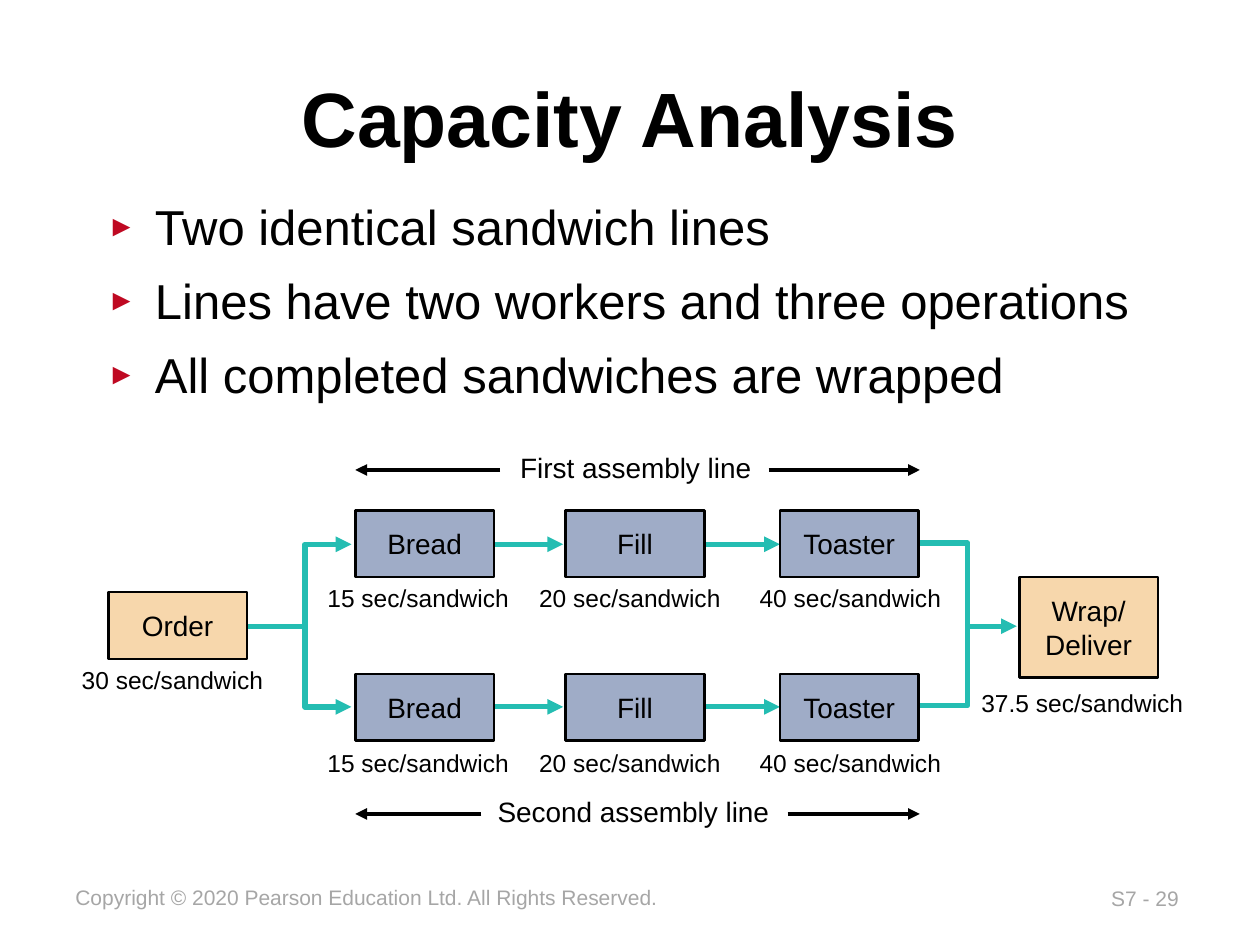
"""Build the capacity analysis slide with its two sandwich assembly lines."""
from typing import NamedTuple

from lxml.etree import SubElement as Sub
from pptx import Presentation
from pptx.dml.color import RGBColor as Rgb
from pptx.enum.shapes import MSO_CONNECTOR as Link, MSO_SHAPE as Shape
from pptx.enum.text import MSO_ANCHOR as Anchor, MSO_AUTO_SIZE as Fit, PP_ALIGN as Align
from pptx.oxml.ns import qn
from pptx.util import Inches, Pt

COLORS = {"ink": "000000", "note": "A6A6A6", "mark": "BF0922",
          "flow": "24BDB2", "sand": "F7D7AC", "steel": "9FACC7"}
WIDE, HIGH = 1.1, 0.53
BULLETS = ["Two identical sandwich lines",
           "Lines have two workers and three operations",
           "All completed sandwiches are wrapped"]


class Label(NamedTuple):
    text: str
    left: float
    top: float
    width: float
    height: float
    size: int
    color: str = "ink"


class Box(NamedTuple):
    text: str
    left: float
    top: float
    height: float
    fill: str


class Step(NamedTuple):
    name: str
    left: float
    time: str
    note: float


class Line(NamedTuple):
    start: tuple
    end: tuple
    color: str = "flow"
    width: float = 3
    tip: bool = True


class Row(NamedTuple):
    flow: float
    top: float
    note: float


STEPS = [Step("Bread", 2.82, "15 sec/sandwich", 2.5),
         Step("Fill", 4.49, "20 sec/sandwich", 4.18),
         Step("Toaster", 6.19, "40 sec/sandwich", 5.93)]
ROWS = [Row(4.32, 4.05, 4.58), Row(5.61, 5.35, 5.89)]


def paint(name: str) -> Rgb:
    return Rgb.from_string(COLORS[name])


def style(target, **values) -> None:
    for key, value in values.items():
        setattr(target, key, value)


def write(frame, text: str, size: int, color: str = "ink", bold: bool = False, **look) -> None:
    frame.text = text
    for para in frame.paragraphs:
        style(para, **look)
        for run in para.runs:
            style(run.font, name="Arial", size=Pt(size), bold=bold)
            run.font.color.rgb = paint(color)


def place(shape, left: float, top: float, width: float, height: float) -> None:
    style(shape, left=Inches(left), top=Inches(top),
          width=Inches(width), height=Inches(height))


def stroke(shape, color: str, width: float, *ends: str) -> None:
    shape.line.color.rgb = paint(color)
    shape.line.width = Pt(width)
    line = shape.line._get_or_add_ln()
    if ends:
        Sub(line, qn("a:round"))
    for end in ends:
        if end:
            Sub(line, qn(f"a:{end}"), type="triangle")


def add_label(shapes, item: Label) -> None:
    area = map(Inches, (item.left, item.top, item.width, item.height))
    frame = shapes.add_textbox(*area).text_frame
    style(frame, word_wrap=False, auto_size=Fit.SHAPE_TO_FIT_TEXT)
    write(frame, item.text, item.size, item.color)


def add_box(shapes, item: Box) -> None:
    area = map(Inches, (item.left, item.top, WIDE, item.height))
    box = shapes.add_shape(Shape.RECTANGLE, *area)
    box.shadow.inherit = False
    box.fill.solid()
    box.fill.fore_color.rgb = paint(item.fill)
    stroke(box, "ink", 1.5)
    style(box.text_frame, word_wrap=False, vertical_anchor=Anchor.MIDDLE,
          margin_left=Inches(0.18), margin_right=Inches(0.18),
          margin_top=Inches(0.13), margin_bottom=Inches(0.13))
    write(box.text_frame, item.text, 16, alignment=Align.CENTER)


def add_line(shapes, item: Line) -> None:
    ends = map(Inches, item.start + item.end)
    line = shapes.add_connector(Link.STRAIGHT, *ends)
    stroke(line, item.color, item.width, "tailEnd" if item.tip else "")
    Sub(line._element.spPr, qn("a:effectLst"))


def add_fork(shapes, tip: float, stem: float, top: float, low: float, *ends: str) -> None:
    path = shapes.build_freeform(Inches(tip), Inches(top))
    points = [(stem, top), (stem, low), (tip, low)]
    path.add_line_segments([(Inches(x), Inches(y)) for x, y in points], close=False)
    fork = path.convert_to_shape()
    fork.shadow.inherit = False
    fork.fill.background()
    stroke(fork, "flow", 3, *ends)


def add_list(body) -> None:
    place(body, 0.75, 1.56, 8.5, 1.62)
    body.text_frame.auto_size = Fit.NONE
    write(body.text_frame, "\n".join(BULLETS), 28,
          line_spacing=0.9, space_before=Pt(0), space_after=Pt(12))
    for para in body.text_frame.paragraphs:
        props = para._p.get_or_add_pPr()
        props.set("marL", str(Inches(0.38)))
        props.set("indent", str(Inches(-0.38)))
        Sub(Sub(props, qn("a:buClr")), qn("a:srgbClr"), val=COLORS["mark"])
        Sub(props, qn("a:buSzPct"), val="60000")
        Sub(props, qn("a:buFont"), typeface="Arial")
        Sub(props, qn("a:buChar"), char="►")


def add_flow(shapes) -> None:
    high, low = (row.flow for row in ROWS)
    add_fork(shapes, 2.79, 2.42, high, low, "headEnd", "tailEnd")
    add_fork(shapes, 7.3, 7.68, high - 0.01, low - 0.01, "")
    add_line(shapes, Line((1.96, 4.97), (2.4, 4.97), tip=False))
    add_line(shapes, Line((7.69, 4.97), (8.07, 4.97)))
    for row in ROWS:
        for step, after in zip(STEPS, STEPS[1:]):
            end = after.left - (0.02 if after.name == "Fill" else 0)
            add_line(shapes, Line((step.left + WIDE, row.flow), (end, row.flow)))
        for step in STEPS:
            add_box(shapes, Box(step.name, step.left, row.top, HIGH, "steel"))
            add_label(shapes, Label(step.time, step.note, row.note, 1.65, 0.34, 14))
    add_box(shapes, Box("Order", 0.86, 4.7, HIGH, "sand"))
    add_box(shapes, Box("Wrap/\nDeliver", 8.09, 4.58, 0.8, "sand"))


def add_span(shapes, item: Label, left: float, right: float) -> None:
    add_label(shapes, item)
    level = item.top + 0.2
    for start, end in ((left, 2.82), (right, 7.3)):
        add_line(shapes, Line((start, level), (end, level), "ink", 2.25))


def main() -> None:
    deck = Presentation()
    style(deck, slide_width=Inches(10), slide_height=Inches(7.5))
    slide = deck.slides.add_slide(deck.slide_layouts[1])
    shapes = slide.shapes
    title, body = slide.placeholders
    place(title, 0.5, 0.3, 9, 1.25)
    style(title.text_frame, vertical_anchor=Anchor.MIDDLE, auto_size=Fit.NONE)
    write(title.text_frame, "Capacity Analysis", 44, bold=True, alignment=Align.CENTER)
    add_list(body)
    add_flow(shapes)
    add_span(shapes, Label("First assembly line", 4.03, 3.53, 2.06, 0.37, 16), 3.97, 6.1)
    add_span(shapes, Label("Second assembly line", 3.85, 6.26, 2.38, 0.37, 16), 3.82, 6.25)
    for item in (
        Label("30 sec/sandwich", 0.55, 5.23, 1.65, 0.34, 14),
        Label("37.5 sec/sandwich", 7.69, 5.41, 1.82, 0.34, 14),
        Label("Copyright © 2020 Pearson Education Ltd. All Rights Reserved.",
              0.5, 6.97, 4.86, 0.3, 12, "note"),
        Label("S7 - 29", 8.72, 6.98, 0.76, 0.3, 12, "note"),
    ):
        add_label(shapes, item)
    deck.save("out.pptx")


if __name__ == "__main__":
    main()
